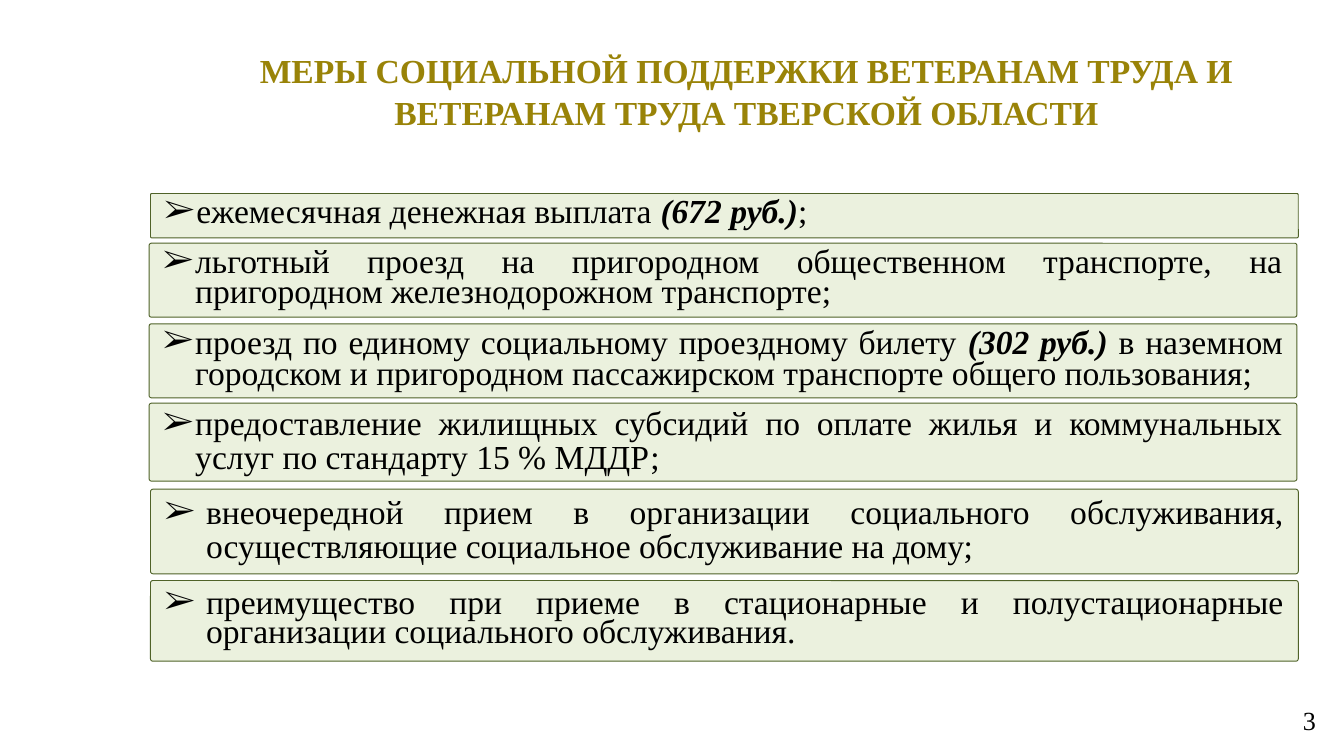
import pptx
import pptx.dml.color
import pptx.enum.shapes
import pptx.enum.text
import pptx.oxml.ns
import pptx.util
from lxml import etree
from pptx.util import Inches

FONT = "Times New Roman"
COLORS = {"title": "998308", "text": "000000", "card": "EBF1DE", "border": "4F6228"}
ALIGN = pptx.enum.text.PP_ALIGN

CARD_WIDTH = 8.54
# left, top, height, indent, line spacing, space after, runs (text, emphasized)
MEASURES = [
    (1.12, 1.44, 0.33, 0.24, 16, 0, [
        ("ежемесячная денежная выплата ", False), ("(672 руб.)", True), (";", False)]),
    (1.11, 1.81, 0.55, 0.24, 16, 0, [
        ("льготный проезд на пригородном общественном транспорте, "
         "на пригородном железнодорожном транспорте;", False)]),
    (1.11, 2.41, 0.55, 0.24, 17, 0, [
        ("проезд по единому социальному проездному билету ", False),
        ("(302 руб.) ", True),
        ("в наземном городском и пригородном пассажирском транспорте "
         "общего пользования;", False)]),
    (1.11, 3, 0.58, 0.24, 18, 10, [
        ("предоставление жилищных субсидий по оплате жилья и коммунальных "
         "услуг по стандарту 15 % МДДР;", False)]),
    (1.12, 3.64, 0.63, 0.31, 18, 0, [
        ("внеочередной прием в организации социального обслуживания, "
         "осуществляющие социальное обслуживание на дому;", False)]),
    (1.12, 4.32, 0.6, 0.31, 16, 0, [
        ("преимущество при приеме в стационарные и полустационарные "
         "организации социального обслуживания.", False)]),
]


def rgb(name):
    return pptx.dml.color.RGBColor.from_string(COLORS[name])


def add_run(paragraph, text, size=18, color="text", bold=False, italic=False):
    run = paragraph.add_run()
    run.text = text
    run.font.name = FONT
    run.font.size = pptx.util.Pt(size)
    run.font.color.rgb = rgb(color)
    run.font.bold = bold
    run.font.italic = italic


def prepare_text(shape, alignment):
    """Set up a wrapping, vertically centred frame and return its paragraph."""
    frame = shape.text_frame
    frame.word_wrap = True
    frame.auto_size = pptx.enum.text.MSO_AUTO_SIZE.NONE
    frame.vertical_anchor = pptx.enum.text.MSO_ANCHOR.MIDDLE
    paragraph = frame.paragraphs[0]
    paragraph.alignment = alignment
    return paragraph


def add_bullet(paragraph, indent):
    properties = paragraph._p.get_or_add_pPr()
    properties.set("marL", str(Inches(indent)))
    properties.set("indent", str(-Inches(indent)))
    font = etree.SubElement(properties, pptx.oxml.ns.qn("a:buFont"))
    font.set("typeface", FONT)
    bullet = etree.SubElement(properties, pptx.oxml.ns.qn("a:buChar"))
    bullet.set("char", "➢")


def set_title(slide, text):
    title = slide.shapes.title
    title.left, title.top = Inches(1.11), Inches(0.35)
    title.width, title.height = Inches(8.89), Inches(0.65)
    paragraph = prepare_text(title, ALIGN.CENTER)
    paragraph.line_spacing = pptx.util.Pt(22)
    add_run(paragraph, text, color="title", bold=True)


def add_measure_card(slide, left, top, height, indent, spacing, space_after, runs):
    card = slide.shapes.add_shape(
        pptx.enum.shapes.MSO_SHAPE.ROUNDED_RECTANGLE,
        Inches(left), Inches(top), Inches(CARD_WIDTH), Inches(height))
    card.adjustments[0] = 0.03
    card.shadow.inherit = False
    card.fill.solid()
    card.fill.fore_color.rgb = rgb("card")
    card.line.color.rgb = rgb("border")
    card.line.width = pptx.util.Pt(0.5)
    paragraph = prepare_text(card, ALIGN.JUSTIFY)
    paragraph.line_spacing = pptx.util.Pt(spacing)
    paragraph.space_after = pptx.util.Pt(space_after)
    add_bullet(paragraph, indent)
    for text, emphasized in runs:
        add_run(paragraph, text, bold=emphasized, italic=emphasized)


def add_page_number(slide, number):
    box = slide.shapes.add_textbox(Inches(7.64), Inches(5.16), Inches(2.25), Inches(0.4))
    add_run(prepare_text(box, ALIGN.RIGHT), number, size=14)


def main():
    presentation = pptx.Presentation()
    presentation.slide_width = Inches(10)
    presentation.slide_height = Inches(10) * 9 // 16
    title_only = presentation.slide_layouts[5]
    slide = presentation.slides.add_slide(title_only)
    set_title(slide, "МЕРЫ СОЦИАЛЬНОЙ ПОДДЕРЖКИ ВЕТЕРАНАМ ТРУДА "
                     "И ВЕТЕРАНАМ ТРУДА ТВЕРСКОЙ ОБЛАСТИ")
    for measure in MEASURES:
        add_measure_card(slide, *measure)
    add_page_number(slide, "3")
    presentation.save("out.pptx")


if __name__ == "__main__":
    main()
